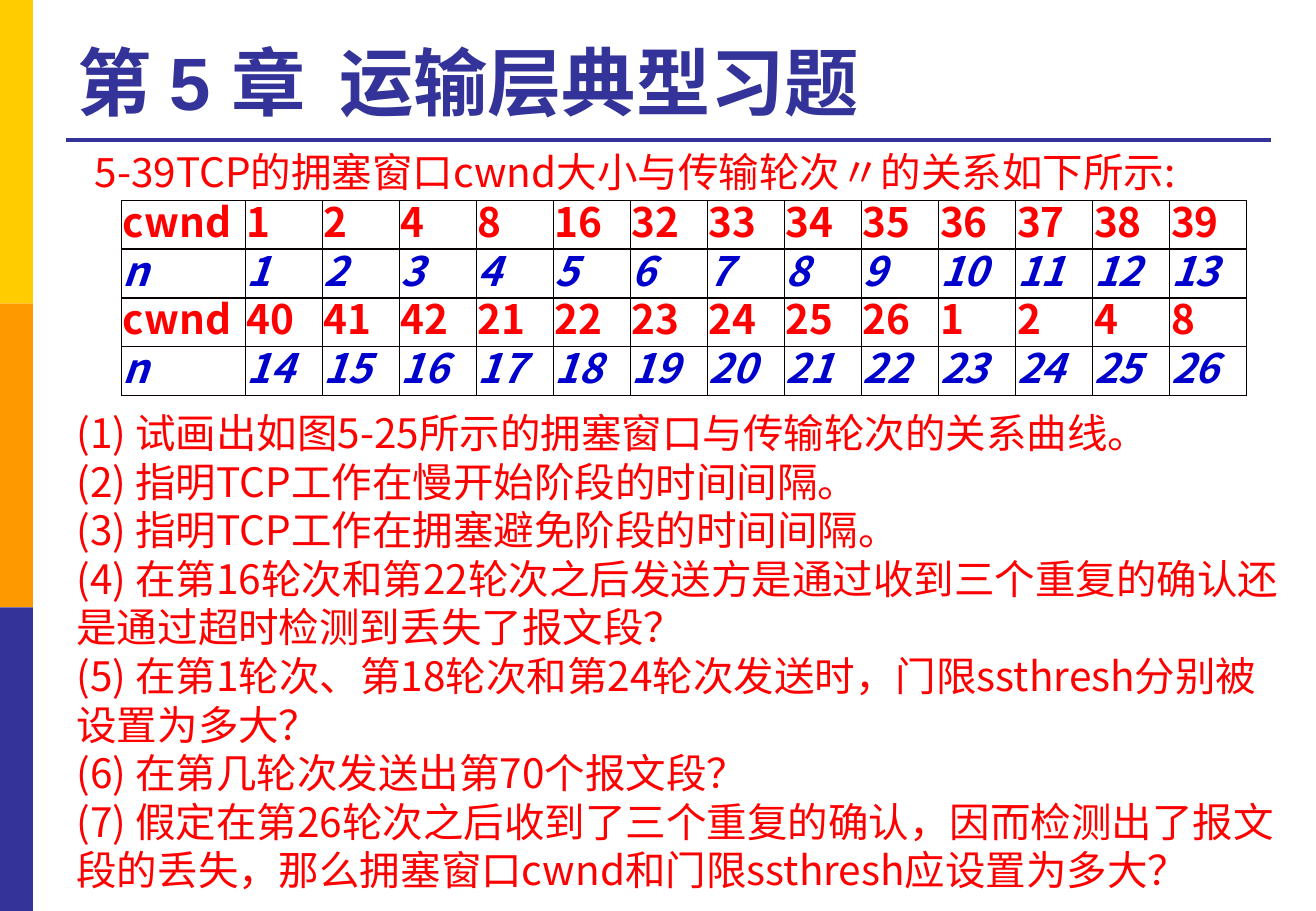
"""Build the slide of typical transport layer exercises for chapter 5."""
import pptx
import pptx.dml.color
import pptx.enum.shapes
import pptx.enum.text
import pptx.oxml
import pptx.oxml.ns
import pptx.util
from pptx.util import Cm, Pt

BODY_FONT = "Noto Sans CJK SC"
NAMESPACE = pptx.oxml.ns.nsdecls("a")


def color(hex_code):
    return pptx.dml.color.RGBColor.from_string(hex_code)


def add_span(para, text, size, font_name, hex_code, bold=False, italic=False):
    span = para.add_run()
    span.text = text
    span.font.size = Pt(size)
    span.font.name = font_name
    span.font.bold = bold
    span.font.italic = italic
    span.font.color.rgb = color(hex_code)
    span.font._element.append(pptx.oxml.parse_xml(f'<a:ea {NAMESPACE} typeface="{BODY_FONT}"/>'))


deck = pptx.Presentation()
deck.slide_width = Cm(27.51)
deck.slide_height = Cm(19.05)
page = deck.slides.add_slide(deck.slide_layouts[6])

for index, hex_code in enumerate(["FFCC00", "FF9900", "333399"]):
    band = page.shapes.add_shape(
        pptx.enum.shapes.MSO_SHAPE.RECTANGLE, 0, Cm(6.35 * index), Cm(0.69), Cm(6.35))
    band.shadow.inherit = False
    band.fill.solid()
    band.fill.fore_color.rgb = color(hex_code)
    band.line.fill.background()

rule = page.shapes.add_connector(
    pptx.enum.shapes.MSO_CONNECTOR.STRAIGHT, Cm(1.38), Cm(2.92), Cm(26.57), Cm(2.92))
rule.line.color.rgb = color("333399")
rule.line.width = Pt(2.25)
rule._element.spPr.append(pptx.oxml.parse_xml(f"<a:effectLst {NAMESPACE}/>"))

title = page.shapes.add_textbox(Cm(1.38), Cm(0.53), Cm(25.17), Cm(2.21))
title.text_frame.word_wrap = True
title.text_frame.vertical_anchor = pptx.enum.text.MSO_ANCHOR.BOTTOM
add_span(title.text_frame.paragraphs[0], "第 5 章  运输层典型习题", 44, "Arial", "333399", bold=True)

questions = [
    "(1) 试画出如图5-25所示的拥塞窗口与传输轮次的关系曲线。",
    "(2) 指明TCP工作在慢开始阶段的时间间隔。",
    "(3) 指明TCP工作在拥塞避免阶段的时间间隔。",
    "(4) 在第16轮次和第22轮次之后发送方是通过收到三个重复的确认还是通过超时检测到丢失了报文段？",
    "(5) 在第1轮次、第18轮次和第24轮次发送时，门限ssthresh分别被设置为多大？",
    "(6) 在第几轮次发送出第70个报文段？",
    "(7) 假定在第26轮次之后收到了三个重复的确认，因而检测出了报文段的丢失，"
    "那么拥塞窗口cwnd和门限ssthresh应设置为多大？",
]
text_blocks = [
    (1.73, 2.95, 24.84, 1.27, ["5-39TCP的拥塞窗口cwnd大小与传输轮次〃的关系如下所示:"]),
    (1.35, 8.41, 25.68, 10.52, questions),
]
for left, top, width, height, lines in text_blocks:
    box = page.shapes.add_textbox(Cm(left), Cm(top), Cm(width), Cm(height))
    box.text_frame.word_wrap = True
    for index, line in enumerate(lines):
        para = box.text_frame.paragraphs[0] if index == 0 else box.text_frame.add_paragraph()
        para.line_spacing = Pt(28.8)
        add_span(para, line, 24, BODY_FONT, "FF0000")

windows = [1, 2, 4, 8, 16, *range(32, 43), *range(21, 27), 1, 2, 4, 8]
rounds = list(range(1, 27))
table_rows = [
    ["cwnd", *windows[:13]],
    ["n", *rounds[:13]],
    ["cwnd", *windows[13:]],
    ["n", *rounds[13:]],
]
frame = page.shapes.add_table(4, 14, Cm(2.54), Cm(4.19), Cm(23.5), Cm(4.06))
table = frame.table
for index, column in enumerate(table.columns):
    column.width = Cm(2.59) if index == 0 else Cm(1.61)
for row_index, values in enumerate(table_rows):
    table.rows[row_index].height = Cm(1.02)
    is_round = row_index % 2 == 1
    for column_index, value in enumerate(values):
        cell = table.cell(row_index, column_index)
        cell.margin_left = cell.margin_right = Cm(0.03)
        cell.margin_top = cell.margin_bottom = 0
        cell.vertical_anchor = pptx.enum.text.MSO_ANCHOR.MIDDLE
        para = cell.text_frame.paragraphs[0]
        para.line_spacing = Pt(28.8)
        add_span(para, str(value), 24, BODY_FONT,
                 "0000CC" if is_round else "FF0000", bold=True, italic=is_round)
        properties = cell._tc.get_or_add_tcPr()
        for side in ["lnL", "lnR", "lnT", "lnB"]:
            properties.append(pptx.oxml.parse_xml(
                f'<a:{side} {NAMESPACE} w="12700"><a:solidFill>'
                f'<a:srgbClr val="080000"/></a:solidFill></a:{side}>'))
        cell.fill.solid()
        cell.fill.fore_color.rgb = color("FFFFFF")

deck.save("out.pptx")
